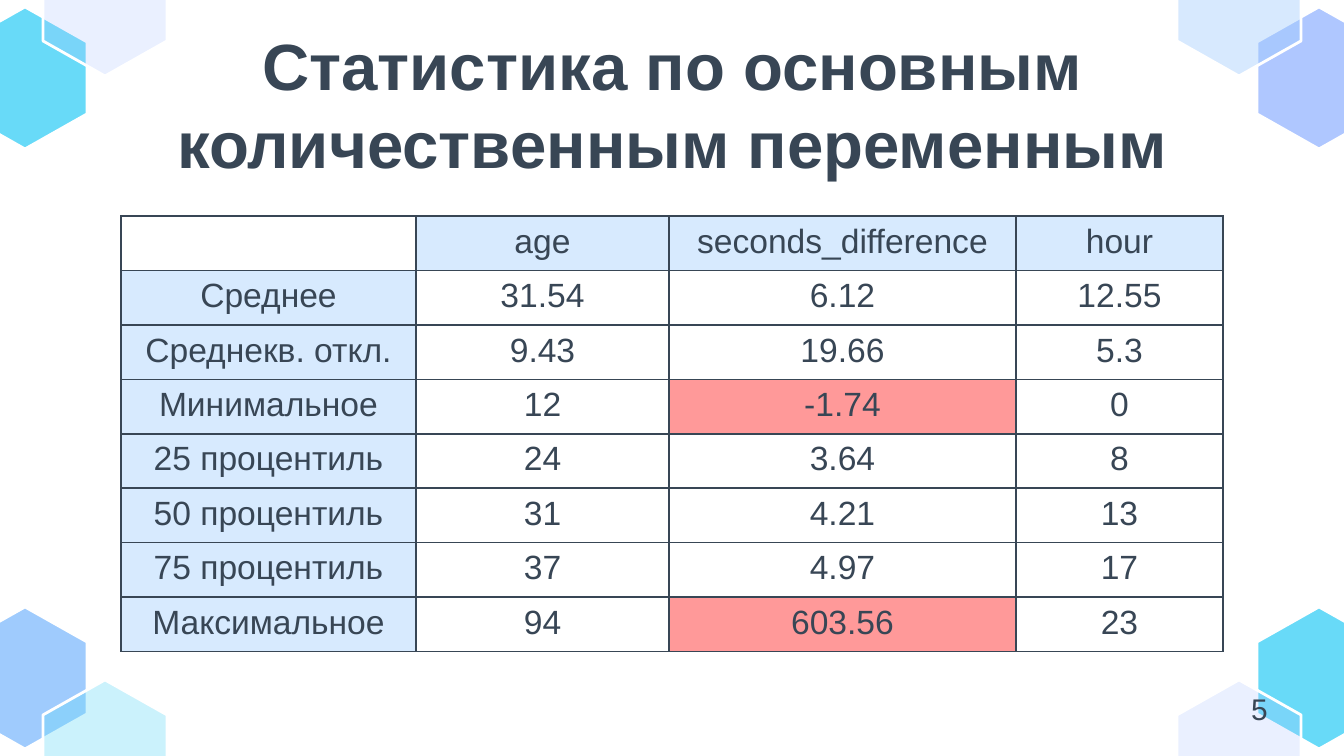
from lxml import etree
from pptx import Presentation
from pptx import util as u
from pptx.dml.color import RGBColor
from pptx.enum import text
from pptx.oxml.ns import qn

PX = 914400 / 134.4
INK, HEADER, ALERT, WHITE = "384655", "D7EAFE", "FF9999", "FFFFFF"


def paint(fill, color, alpha=100):
    fill.solid()
    fill.fore_color.rgb = RGBColor.from_string(color)
    if alpha < 100:
        node = fill._xPr.find(".//" + qn("a:srgbClr"))
        etree.SubElement(node, qn("a:alpha"), val=str(alpha * 1000))


def style(text_frame, size, align, bold=False):
    paragraph = text_frame.paragraphs[0]
    paragraph.alignment = align
    for run in paragraph.runs:
        run.font.name = "Arial"
        run.font.size = u.Pt(size)
        run.font.bold = bold
        run.font.color.rgb = RGBColor.from_string(INK)


presentation = Presentation()
presentation.slide_width = u.Emu(round(1344 * PX))
presentation.slide_height = u.Emu(round(756 * PX))
slide = presentation.slides.add_slide(presentation.slide_layouts[6])

hexagons = [
    (25, 678, "9FCBFD", 100), (105, 751, "68DAF8", 34),
    (1319, 678, "68DAF8", 100), (1239, 751, "AFC7FF", 25),
    (25, 78, "68DAF8", 100), (105, 5, "AFC7FF", 25),
    (1319, 78, "AFC7FF", 100), (1239, 5, "9FCBFD", 41),
]
corners = [(0, -71), (-62, -36), (-62, 36), (0, 71), (62, 36), (62, -36)]
for x, y, color, alpha in hexagons:
    points = [(x + dx, y + dy) for dx, dy in corners]
    builder = slide.shapes.build_freeform(*points[0], scale=PX)
    builder.add_line_segments(points[1:], close=True)
    hexagon = builder.convert_to_shape()
    hexagon.shadow.inherit = False
    paint(hexagon.fill, color, alpha)
    paint(hexagon.line.fill, WHITE)
    hexagon.line.width = u.Pt(1.5)

labels = [
    ("Статистика по основным количественным переменным",
     (106, 12, 1133, 85), 13, 35, text.PP_ALIGN.CENTER, True),
    ("5", (1238, 684, 109, 50), 7, 16, text.PP_ALIGN.LEFT, False),
]
for words, box, margin, size, align, bold in labels:
    label = slide.shapes.add_textbox(*[u.Emu(round(v * PX)) for v in box])
    frame = label.text_frame
    frame.word_wrap = True
    frame.margin_top = frame.margin_bottom = u.Emu(round(margin * PX))
    frame.text = words
    style(frame, size, align, bold)

rows = [
    ("", "age", "seconds_difference", "hour"),
    ("Среднее", "31.54", "6.12", "12.55"),
    ("Среднекв. откл.", "9.43", "19.66", "5.3"),
    ("Минимальное", "12", "-1.74", "0"),
    ("25 процентиль", "24", "3.64", "8"),
    ("50 процентиль", "31", "4.21", "13"),
    ("75 процентиль", "37", "4.97", "17"),
    ("Максимальное", "94", "603.56", "23"),
]
widths = [295, 253, 347, 207]
height = 436
outliers = {(3, 2), (7, 2)}
area = [u.Emu(round(v * PX)) for v in (121, 216, sum(widths), height)]
table = slide.shapes.add_table(len(rows), len(widths), *area).table
table.first_row = table.horz_banding = False
for column, width in zip(table.columns, widths):
    column.width = u.Emu(round(width * PX))
for row in table.rows:
    row.height = u.Emu(round(height * PX / len(rows)))

for r, values in enumerate(rows):
    for c, value in enumerate(values):
        cell = table.cell(r, c)
        cell.text = value
        style(cell.text_frame, 18, text.PP_ALIGN.CENTER)
        properties = cell._tc.get_or_add_tcPr()
        for side in ("a:lnL", "a:lnR", "a:lnT", "a:lnB"):
            border = etree.SubElement(properties, qn(side), w=str(u.Pt(1)))
            solid = etree.SubElement(border, qn("a:solidFill"))
            etree.SubElement(solid, qn("a:srgbClr"), val=INK)
        if (r, c) in outliers:
            paint(cell.fill, ALERT)
        elif (r == 0) != (c == 0):
            paint(cell.fill, HEADER)
        else:
            cell.fill.background()

presentation.save("out.pptx")
